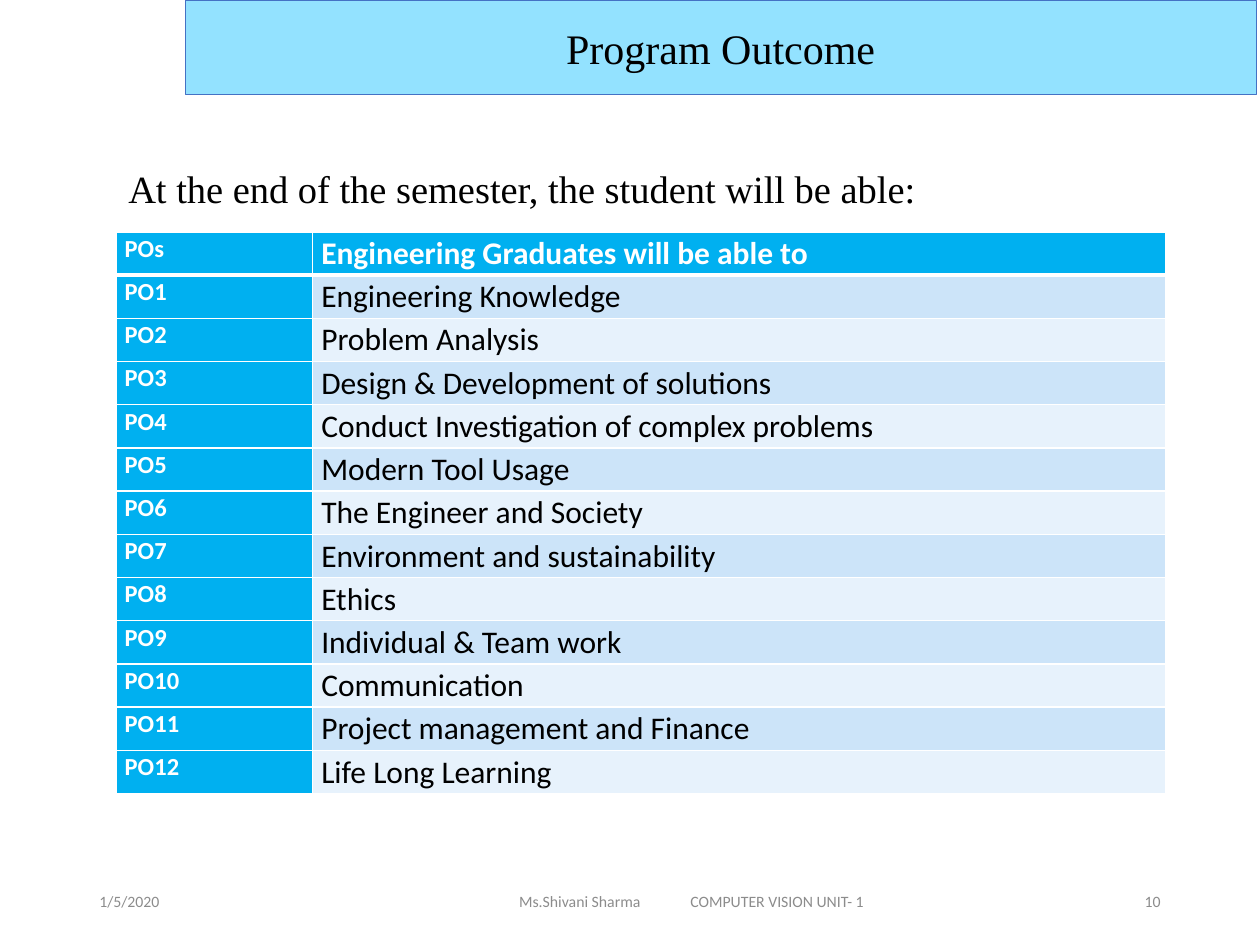
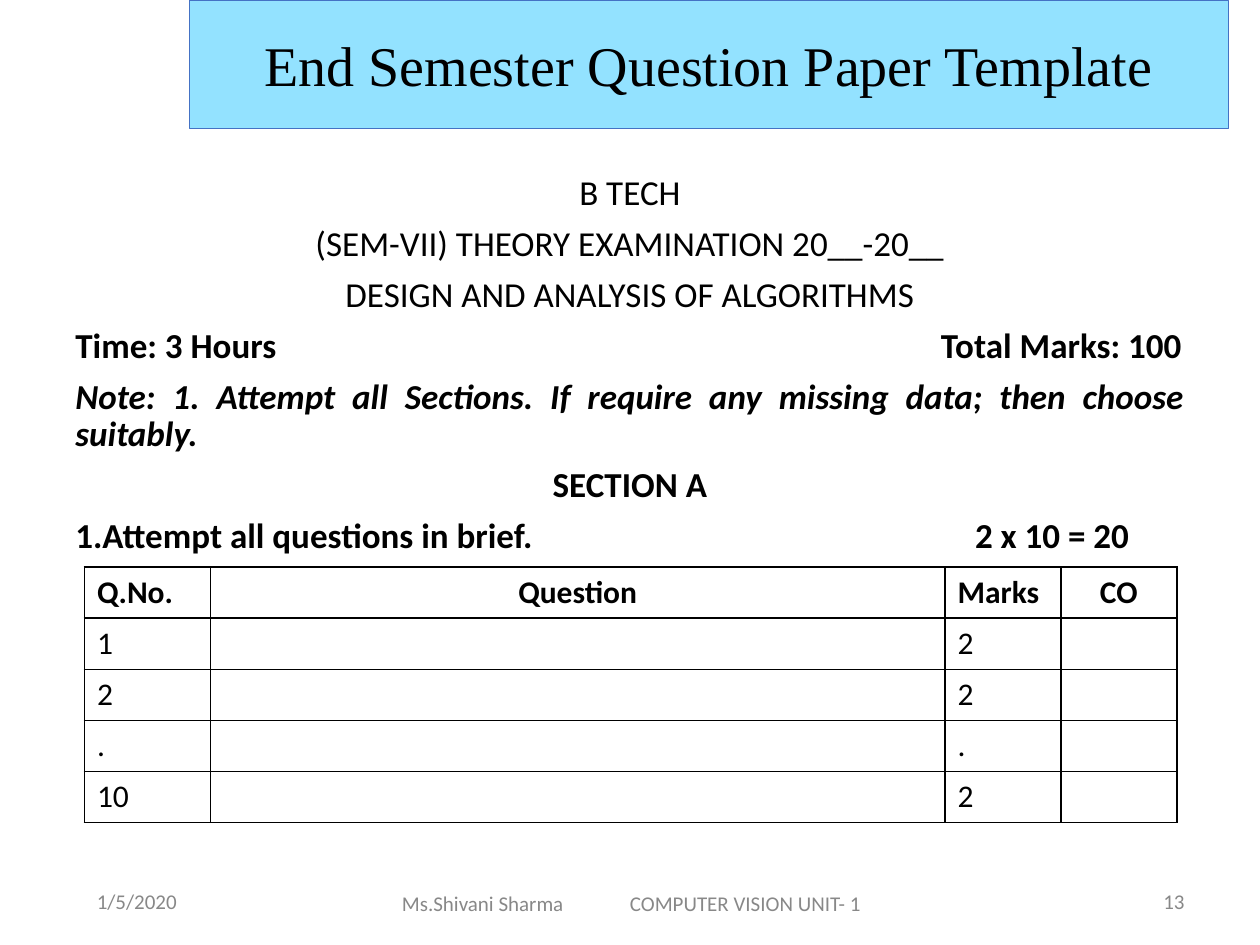
from lxml import etree
from pptx import Presentation
from pptx.dml.color import RGBColor
from pptx.enum.shapes import MSO_SHAPE
from pptx.enum.text import MSO_ANCHOR, PP_ALIGN
from pptx.oxml.ns import qn
from pptx.util import Inches, Pt

RECT = MSO_SHAPE.RECTANGLE
TOP, MIDDLE = MSO_ANCHOR.TOP, MSO_ANCHOR.MIDDLE
LEFT, CENTER, RIGHT = PP_ALIGN.LEFT, PP_ALIGN.CENTER, PP_ALIGN.RIGHT
JUSTIFY = PP_ALIGN.JUSTIFY
SANS, SERIF = "Calibri", "Times New Roman"
COLORS = {
    "black": "000000", "white": "FFFFFF", "band": "93E2FF", "edge": "4472C4",
    "head": "00B0F0", "odd": "CCE4F9", "even": "E7F2FC",
    "gray": "8C8C8C", "dusk": "888888",
}
DATE = "1/5/2020"
CREDIT = "Ms.Shivani Sharma\tCOMPUTER VISION UNIT- 1"
GOALS = [
    "Engineering Knowledge", "Problem Analysis",
    "Design & Development of solutions",
    "Conduct Investigation of complex problems", "Modern Tool Usage",
    "The Engineer and Society", "Environment and sustainability", "Ethics",
    "Individual & Team work", "Communication",
    "Project management and Finance", "Life Long Learning",
]
PAPER = [
    ("B TECH", {"align": CENTER}),
    ("(SEM-VII) THEORY EXAMINATION 20__-20__", {"align": CENTER}),
    ("DESIGN AND ANALYSIS OF ALGORITHMS", {"align": CENTER}),
    ("Time: 3 Hours\tTotal Marks: 100", {"bold": True, "tab": (8.78, "r")}),
    ("Note: 1. Attempt all Sections. If require any missing data; "
     "then choose suitably.",
     {"align": JUSTIFY, "bold": True, "italic": True}),
    ("SECTION A", {"align": CENTER, "bold": True}),
    ("Attempt all questions in brief.\t2 x 10 = 20",
     {"bold": True, "number": True, "tab": (7.14, "l")}),
]
MARKS = [("1", "", "2", ""), ("2", "", "2", ""), (".", "", ".", ""),
         ("10", "", "2", "")]


def color(name):
    """Return a named colour."""
    return RGBColor.from_string(COLORS[name])


def write(para, text, size, face=SANS, ink="black", align=LEFT, bold=False,
          italic=False, tab=None, number=False):
    """Fill and style one paragraph."""
    para.text = text
    props = para._p.get_or_add_pPr()
    if number:
        props.set("marL", "0")
        props.set("indent", "0")
        etree.SubElement(props, qn("a:buAutoNum"), type="arabicPeriod")
    if tab:
        place, kind = tab
        tabs = etree.SubElement(props, qn("a:tabLst"))
        etree.SubElement(tabs, qn("a:tab"), pos=str(Inches(place)), algn=kind)
    para.alignment = align
    font = para.font
    font.name, font.size = face, Pt(size)
    font.bold, font.italic = bold, italic
    font.color.rgb = color(ink)


def add_text(slide, box, anchor=TOP):
    """Add an empty wrapping text box and return its frame."""
    frame = slide.shapes.add_textbox(*map(Inches, box)).text_frame
    frame.word_wrap = True
    frame.vertical_anchor = anchor
    return frame


def add_title(slide, text, box, size):
    """Add the title band."""
    band = slide.shapes.add_shape(RECT, *map(Inches, box))
    band.shadow.inherit = False
    band.fill.solid()
    band.fill.fore_color.rgb = color("band")
    band.line.color.rgb = color("edge")
    band.line.width = Pt(0.5)
    band.text_frame.vertical_anchor = MIDDLE
    write(band.text_frame.paragraphs[0], text, size, SERIF, align=CENTER)


def add_foot(slide, page, boxes, inset, stop, size, ink):
    """Add the date, the credit and the page number."""
    texts = (DATE, CREDIT, page)
    styles = ({}, {"tab": (stop, "l")}, {"align": RIGHT})
    frames = [add_text(slide, box, MIDDLE) for box in boxes]
    frames[1].margin_left = Inches(inset)
    for frame, text, style in zip(frames, texts, styles):
        write(frame.paragraphs[0], text, size, ink=ink, **style)


def add_grid(slide, box, widths, count):
    """Add a plain table with equal rows."""
    grid = slide.shapes.add_table(count, len(widths),
                                  *map(Inches, box)).table
    grid.first_row = grid.horz_banding = False
    for column, width in zip(grid.columns, widths):
        column.width = Inches(width)
    return grid


def set_cell(cell, fill, edge, base=1):
    """Set the borders and the fill of a cell."""
    props = cell._tc.get_or_add_tcPr()
    for side, width in (("L", 1), ("R", 1), ("T", 1), ("B", base)):
        line = etree.SubElement(props, qn(f"a:ln{side}"), w=str(Pt(width)))
        solid = etree.SubElement(line, qn("a:solidFill"))
        etree.SubElement(solid, qn("a:srgbClr"), val=COLORS[edge])
    cell.fill.solid()
    cell.fill.fore_color.rgb = color(fill)


def add_goals(slide):
    """Add the table of program outcomes."""
    rows = [("POs", "Engineering Graduates will be able to")]
    rows += [(f"PO{num}", goal) for num, goal in enumerate(GOALS, 1)]
    grid = add_grid(slide, (0.92, 1.84, 8.33, 4.46), (1.56, 6.77), len(rows))
    for r, row in enumerate(rows):
        for c, text in enumerate(row):
            cell = grid.cell(r, c)
            head = r == 0 or c == 0
            fill = "head" if head else "odd" if r % 2 else "even"
            set_cell(cell, fill, "white", 1 if r else 3)
            cell.margin_left = cell.margin_right = Inches(0.07)
            cell.margin_top = cell.margin_bottom = 0
            para = cell.text_frame.paragraphs[0]
            write(para, text, 18 if c else 14, bold=head,
                  ink="white" if head else "black")
            para.line_spacing = 1.07


def add_marks(slide):
    """Add the table of questions and marks."""
    rows = [("Q.No.", "Question", "Marks", "CO")] + MARKS
    grid = add_grid(slide, (0.67, 4.5, 8.67, 2.03), (1, 5.83, 0.92, 0.92),
                    len(rows))
    for r, row in enumerate(rows):
        for c, text in enumerate(row):
            cell = grid.cell(r, c)
            set_cell(cell, "white", "black")
            write(cell.text_frame.paragraphs[0], text, 18, bold=r == 0,
                  align=CENTER if c % 2 else LEFT)


def add_paper(slide):
    """Add the heading lines of the question paper."""
    frame = add_text(slide, (0.5, 1.34, 9, 5.2))
    for num, (text, style) in enumerate(PAPER):
        para = frame.add_paragraph() if num else frame.paragraphs[0]
        write(para, text, 20, **style)
        para.line_spacing = 0.9
        if num:
            para.space_before = Pt(7.5)


def main():
    """Build both slides."""
    deck = Presentation()
    deck.slide_width, deck.slide_height = Inches(10), Inches(7.5)
    blank = deck.slide_layouts[6]

    slide = deck.slides.add_slide(blank)
    add_goals(slide)
    boxes = ((0.69, 6.95, 2.25, 0.4), (2.75, 6.95, 5.5, 0.4),
             (7.06, 6.95, 2.25, 0.4))
    add_foot(slide, "10", boxes, 1.37, 1.36, 9, "gray")
    add_title(slide, "Program Outcome", (1.47, 0, 8.5, 0.75), 24)
    para = add_text(slide, (0.92, 1.21, 8.5, 0.5)).paragraphs[0]
    write(para, "At the end of the semester, the student will be able:",
          22, SERIF)
    para.line_spacing = 1.15

    slide = deck.slides.add_slide(blank)
    add_paper(slide)
    boxes = ((0.67, 6.95, 1.5, 0.4), (2.57, 6.98, 4.93, 0.37),
             (7.17, 6.95, 2.33, 0.4))
    add_foot(slide, "13", boxes, 0.62, 1.81, 12, "dusk")
    add_title(slide, "End Semester Question Paper Template",
              (1.5, 0, 8.25, 1.02), 32)
    add_marks(slide)
    deck.save("out.pptx")


if __name__ == "__main__":
    main()
